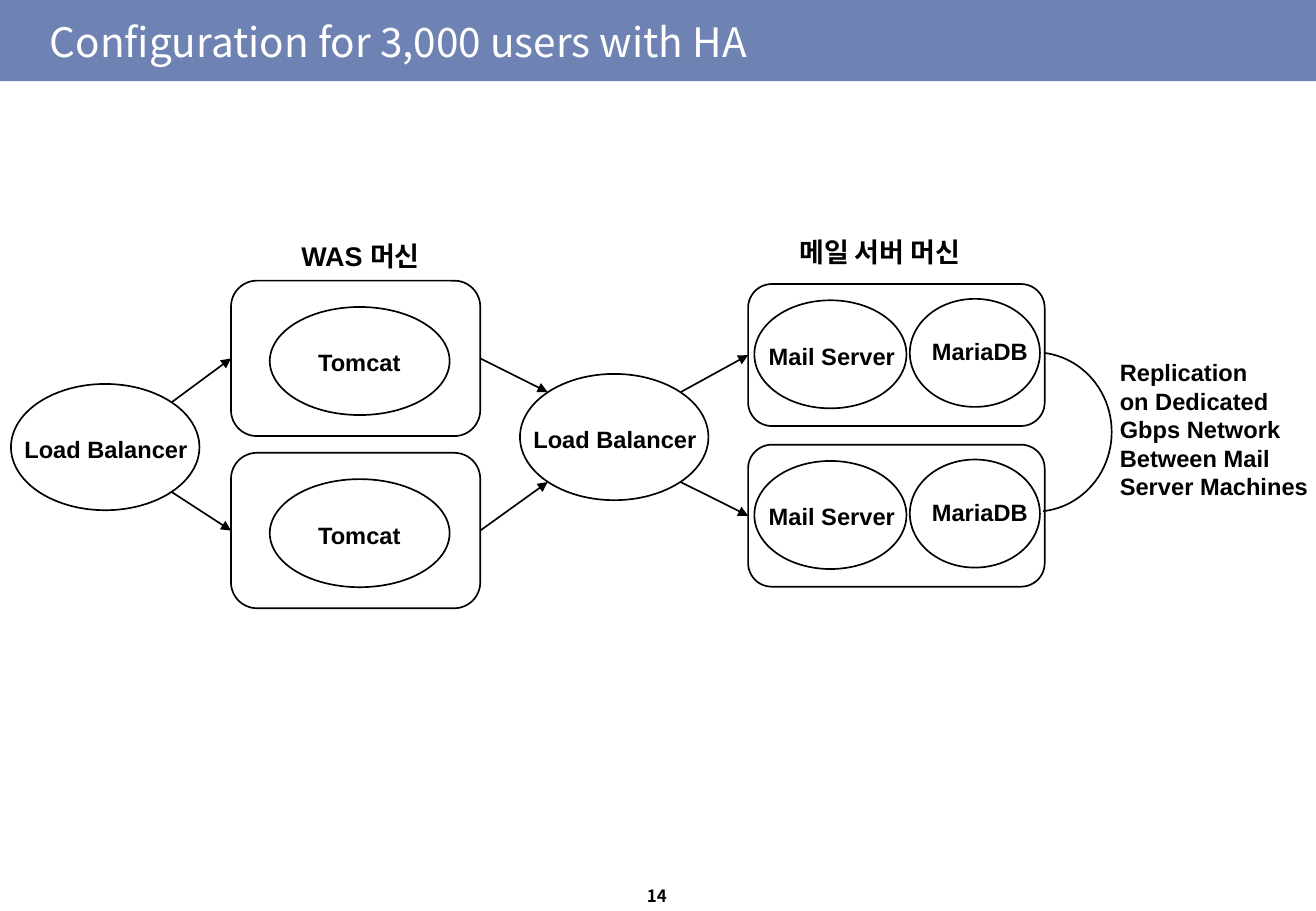
import pptx
import pptx.dml.color
import pptx.enum.shapes
import pptx.enum.text
import pptx.oxml
import pptx.oxml.ns
import pptx.util

Cm = pptx.util.Cm
Pt = pptx.util.Pt
SHAPE = pptx.enum.shapes.MSO_SHAPE
ANCHOR = pptx.enum.text.MSO_ANCHOR
ALIGN = pptx.enum.text.PP_ALIGN
FIT = pptx.enum.text.MSO_AUTO_SIZE

BLACK = pptx.dml.color.RGBColor(0x00, 0x00, 0x00)
WHITE = pptx.dml.color.RGBColor(0xFF, 0xFF, 0xFF)
NAVY = pptx.dml.color.RGBColor(0x10, 0x2F, 0x82)
KOREAN_FONT = "Noto Sans CJK KR"
LABEL = {"name": "Arial", "size": Pt(14), "bold": True}
HEADING = {"name": "Arial", "size": Pt(16), "bold": True}
TITLE = {"name": KOREAN_FONT, "size": Pt(24), "bold": False}
NUMBER = {"name": KOREAN_FONT, "size": Pt(10), "bold": True}

deck = pptx.Presentation()
deck.slide_width, deck.slide_height = Cm(27.51), Cm(19.05)
page = deck.slides.add_slide(deck.slide_layouts[6])


def add_outline(kind, left, top, width, height):
    shape = page.shapes.add_shape(kind, Cm(left), Cm(top), Cm(width), Cm(height))
    shape.shadow.inherit = False
    shape.fill.background()
    shape.line.color.rgb = BLACK
    shape.line.width = Pt(1)
    return shape


def add_text(lines, left, top, width, height, font, color=BLACK, wrap=False):
    box = page.shapes.add_textbox(Cm(left), Cm(top), Cm(width), Cm(height))
    frame = box.text_frame
    frame.word_wrap = wrap
    frame.auto_size = FIT.SHAPE_TO_FIT_TEXT
    for index, line in enumerate(lines):
        para = frame.add_paragraph() if index else frame.paragraphs[0]
        span = para.add_run()
        span.text = line
        span.font.color.rgb = color
        for key, value in font.items():
            setattr(span.font, key, value)
        east_asian = pptx.oxml.parse_xml(
            f'<a:ea {pptx.oxml.ns.nsdecls("a")} typeface="{KOREAN_FONT}"/>')
        span.font._element.find(pptx.oxml.ns.qn("a:latin")).addnext(east_asian)
    return frame


# Title band
band = add_outline(SHAPE.RECTANGLE, 0, 0, 27.51, 1.7)
band.line.fill.background()
band.fill.solid()
band.fill.fore_color.rgb = NAVY
band_color = band._element.spPr.find(".//" + pptx.oxml.ns.qn("a:srgbClr"))
band_color.append(pptx.oxml.parse_xml(
    f'<a:alpha {pptx.oxml.ns.nsdecls("a")} val="60000"/>'))
add_text(["Configuration for 3,000 users with HA"],
         0.79, 0.23, 24.28, 1.3, TITLE, WHITE, wrap=True)

# Page number
number = add_text(["14"], 12.17, 18.42, 3.12, 0.63, NUMBER, wrap=True)
number.auto_size = FIT.NONE
number.vertical_anchor = ANCHOR.MIDDLE
number.paragraphs[0].alignment = ALIGN.CENTER

# Machine groups: box, box tops, and the programs inside each box.
# A program: name, ellipse left, offset and width, label left, offset and width.
WAS_LEFT, WAS_WIDTH, WAS_HEIGHT, WAS_TOPS = 4.83, 5.21, 3.25, (5.87, 9.47)
MAIL_LEFT, MAIL_WIDTH, MAIL_HEIGHT, MAIL_TOPS = 15.64, 6.2, 2.97, (5.94, 9.3)
machines = [
    (WAS_LEFT, WAS_WIDTH, WAS_HEIGHT, WAS_TOPS, [
        ("Tomcat", 5.64, 0.55, 3.76, 6.4, 1.29, 2.24)]),
    (MAIL_LEFT, MAIL_WIDTH, MAIL_HEIGHT, MAIL_TOPS, [
        ("Mail Server", 15.77, 0.34, 3.18, 15.82, 1.08, 3.18),
        ("MariaDB", 19.02, 0.31, 2.72, 19.23, 0.99, 2.54)]),
]
for left, width, height, tops, programs in machines:
    for top in tops:
        add_outline(SHAPE.ROUNDED_RECTANGLE, left, top, width, height)
        for name, oval_left, oval_drop, oval_width, text_left, text_drop, text_width in programs:
            add_outline(SHAPE.OVAL, oval_left, top + oval_drop, oval_width, 2.26)
            add_text([name], text_left, top + text_drop, text_width, 0.86, LABEL)

# Group headings, wide enough for one line
add_text(["WAS 머신"], 6.05, 4.88, 4, 0.94, HEADING, wrap=True)
add_text(["메일 서버 머신"], 16.46, 4.8, 5, 0.94, HEADING, wrap=True)

# Load balancers, with the arrows into and out of them
was_middles = [top + WAS_HEIGHT / 2 for top in WAS_TOPS]
mail_middles = [top + MAIL_HEIGHT / 2 for top in MAIL_TOPS]
arrows = []
for left, top, target_left, targets in [(0.23, 8.03, WAS_LEFT, was_middles),
                                        (10.87, 7.82, MAIL_LEFT, mail_middles)]:
    add_outline(SHAPE.OVAL, left, top, 3.94, 2.64)
    add_text(["Load Balancer"], left + 0.03, top + 0.94, 3.94, 0.86, LABEL)
    for drop, target in zip((0.38, 2.26), targets):
        arrows.append((left + 3.36, top + drop, target_left, target))
for middle, entry in zip(was_middles, (8.2, 10.08)):
    arrows.append((WAS_LEFT + WAS_WIDTH, middle, 11.45, entry))

for ends in arrows:
    arrow = page.shapes.add_connector(
        pptx.enum.shapes.MSO_CONNECTOR.STRAIGHT, *[Cm(end) for end in ends])
    arrow.line.color.rgb = BLACK
    arrow.line.width = Pt(1)
    arrow.line._get_or_add_ln().append(pptx.oxml.parse_xml(
        f'<a:tailEnd {pptx.oxml.ns.nsdecls("a")} type="triangle"/>'))
    arrow._element.spPr.append(pptx.oxml.parse_xml(
        f'<a:effectLst {pptx.oxml.ns.nsdecls("a")}/>'))

# Replication link between the mail server machines
link = add_outline(SHAPE.ARC, 20.04, 7.37, 3.2, 3.33)
link.adjustments[0] = 165.79
link.adjustments[1] = 50.55
add_text(["Replication", "on Dedicated", "Gbps Network", "Between Mail", "Server Machines"],
         23.16, 7.37, 4.47, 3.25, LABEL)

deck.save("out.pptx")
